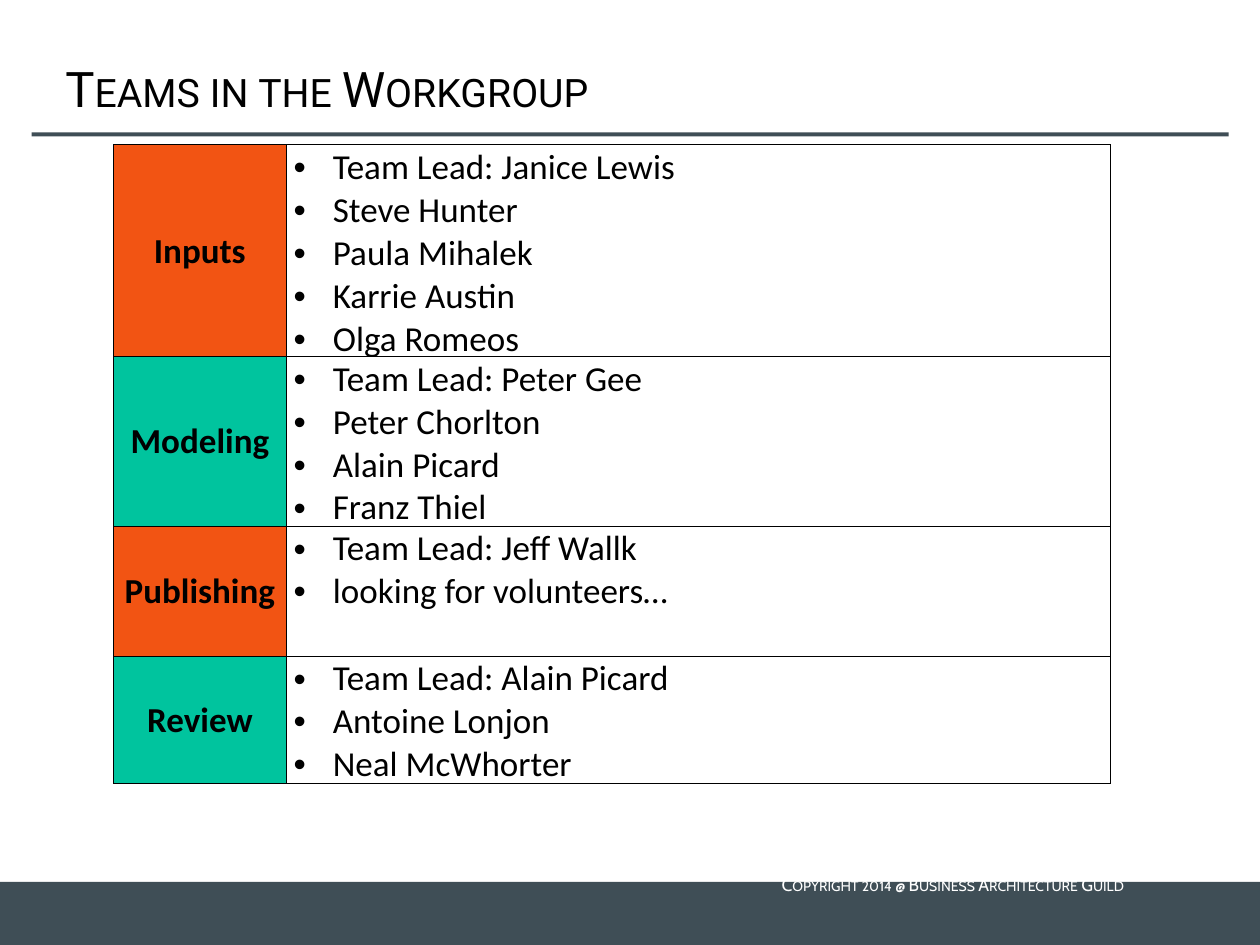
import pptx
import pptx.util
import pptx.dml.color
import pptx.enum.shapes
import pptx.enum.text
import pptx.oxml
import pptx.oxml.ns
import lxml.etree

Cm, Pt = pptx.util.Cm, pptx.util.Pt
ALIGN = pptx.enum.text.PP_ALIGN
MIDDLE = pptx.enum.text.MSO_ANCHOR.MIDDLE
qn = pptx.oxml.ns.qn

SLATE, ORANGE, GREEN = "3F4E56", "F25413", "00C49E"
BLACK, WHITE = "000000", "FFFFFF"

# Team name, row height in cm, members
TEAMS = [
    ("Inputs", 2.59, ["Team Lead: Janice Lewis", "Steve Hunter",
                      "Paula Mihalek", "Karrie Austin", "Olga Romeos"]),
    ("Modeling", 3.3, ["Team Lead: Peter Gee", "Peter Chorlton",
                       "Alain Picard", "Franz Thiel"]),
    ("Publishing", 2.62, ["Team Lead: Jeff Wallk", "looking for volunteers…"]),
    ("Review", 2.41, ["Team Lead: Alain Picard", "Antoine Lonjon",
                      "Neal McWhorter"]),
]


def paint(part, color):
    """Give a fill or a font a solid colour."""
    rgb = pptx.dml.color.RGBColor.from_string(color)
    if hasattr(part, "solid"):
        part.solid()
        part.fore_color.rgb = rgb
    else:
        part.color.rgb = rgb


def write(frame, lines, font="Calibri", size=20, color=BLACK, bold=False,
          align=ALIGN.LEFT, caps=False, bullet=False):
    """Fill a text frame with one paragraph per line."""
    for i, line in enumerate(lines):
        para = frame.add_paragraph() if i else frame.paragraphs[0]
        para.alignment = align
        if bullet:
            props = para._p.get_or_add_pPr()
            props.set("marL", str(Cm(0.79)))
            props.set("indent", str(-Cm(0.79)))
            lxml.etree.SubElement(props, qn("a:buFont"), typeface="Arial")
            lxml.etree.SubElement(props, qn("a:buChar"), char="•")
        run = para.add_run()
        run.text = line
        run.font.name, run.font.size, run.font.bold = font, Pt(size), bold
        paint(run.font, color)
        if caps:
            run._r.get_or_add_rPr().set("cap", "small")


def bar(slide, left, top, width, height):
    """Add a plain slate bar."""
    rect = slide.shapes.add_shape(
        pptx.enum.shapes.MSO_SHAPE.RECTANGLE,
        Cm(left), Cm(top), Cm(width), Cm(height))
    rect.shadow.inherit = False
    rect.line.fill.background()
    paint(rect.fill, SLATE)


def label(slide, left, top, width, height, text, **style):
    """Add a text box with one line centred in its height."""
    frame = slide.shapes.add_textbox(
        Cm(left), Cm(top), Cm(width), Cm(height)).text_frame
    frame.word_wrap = True
    frame.vertical_anchor = MIDDLE
    write(frame, [text], caps=True, **style)


def header(slide, left, top, width):
    """Title with a rule below it."""
    bar(slide, left, top + 1.65, width, 0.08)
    label(slide, left + 0.43, top, 19.05, 1.52, "Teams in the Workgroup",
          font="Roboto", size=28)


def footer(slide, left, top, width, height):
    """Bottom band with the copyright line across its top edge."""
    bar(slide, left, top, width, height)
    label(slide, left + 9.78, top - 0.33, 13.13, 0.76,
          "Copyright 2014 @ Business Architecture Guild",
          font="Cabin", size=10, color=WHITE, align=ALIGN.RIGHT)


def edge(cell):
    """Draw a thin black line on all four sides of a cell."""
    props = cell._tc.get_or_add_tcPr()
    for i, side in enumerate(("lnL", "lnR", "lnT", "lnB")):
        line = lxml.etree.Element(qn("a:" + side), w=str(Pt(0.5)))
        fill = lxml.etree.SubElement(line, qn("a:solidFill"))
        lxml.etree.SubElement(fill, qn("a:srgbClr"), val=BLACK)
        props.insert(i, line)


def fill_cell(cell, lines, color, inset, **style):
    """Write and format one table cell."""
    cell.margin_left = Cm(inset)
    cell.margin_right = cell.margin_top = Cm(0.03)
    cell.margin_bottom = 0
    paint(cell.fill, color)
    edge(cell)
    write(cell.text_frame, lines, **style)


def roster(slide, left, top, width, height):
    """Table of teams and their members."""
    frame = slide.shapes.add_table(
        len(TEAMS), 2, Cm(left), Cm(top), Cm(width), Cm(height))
    table = frame.table
    table.first_row = table.horz_banding = False
    first = 3.48
    table.columns[0].width = Cm(first)
    table.columns[1].width = Cm(width - first)
    for i, (team, tall, names) in enumerate(TEAMS):
        table.rows[i].height = Cm(tall)
        head, body = table.cell(i, 0), table.cell(i, 1)
        fill_cell(head, [team], (ORANGE, GREEN)[i % 2], 0.03,
                  bold=True, align=ALIGN.CENTER)
        head.vertical_anchor = MIDDLE
        fill_cell(body, names, WHITE, 0.15, bullet=True)
    frame.height = Cm(height)


def main():
    deck = pptx.Presentation()
    deck.slide_width, deck.slide_height = Cm(25.4), Cm(19.05)
    slide = deck.slides.add_slide(deck.slide_layouts[6])
    footer(slide, 0, 17.78, 25.4, 1.27)
    header(slide, 0.64, 1.02, 24.13)
    roster(slide, 2.29, 2.92, 20.09, 12.83)
    deck.save("out.pptx")


if __name__ == "__main__":
    main()
